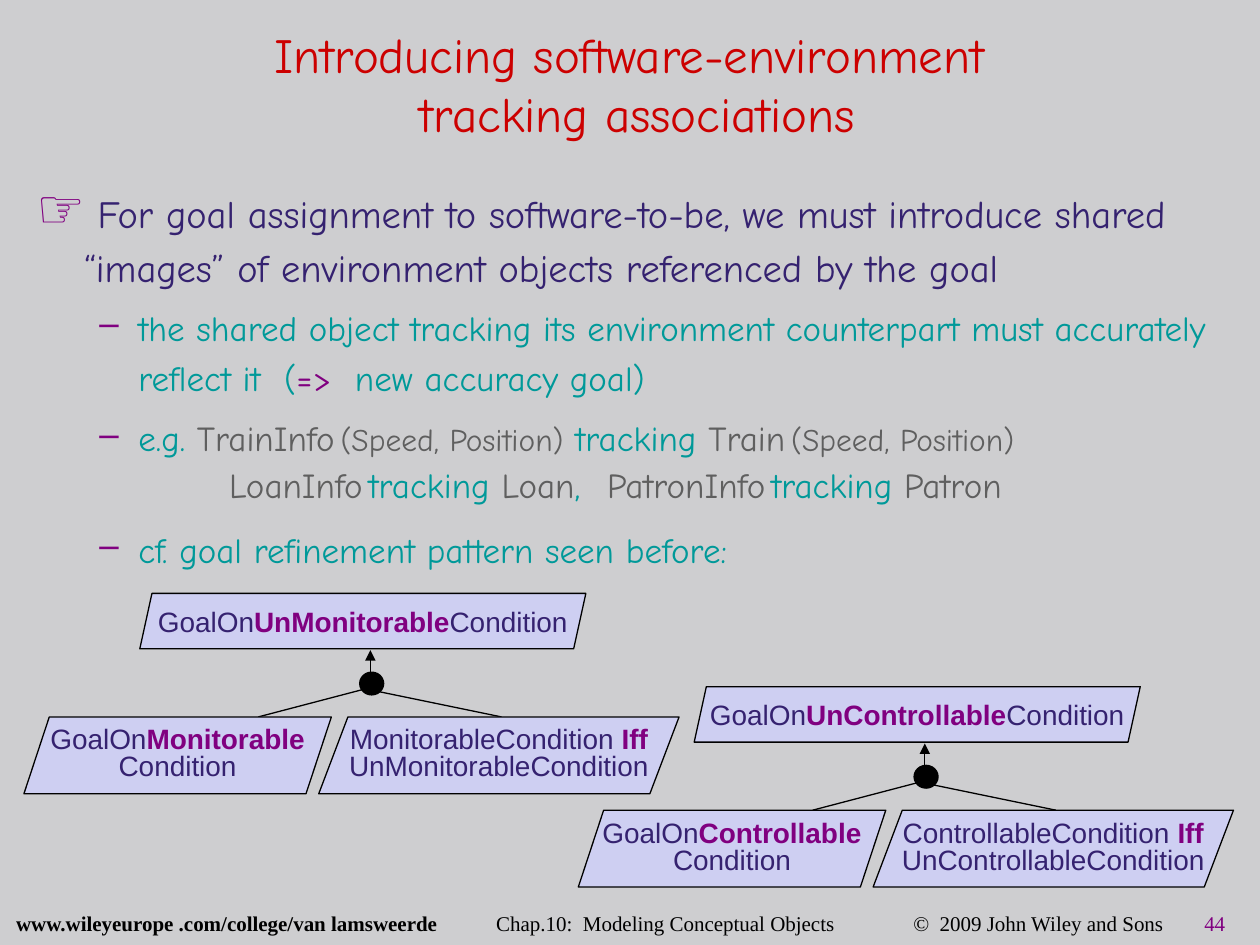
from dataclasses import dataclass

from lxml.etree import SubElement
from pptx import Presentation
from pptx.dml.color import RGBColor
from pptx.enum.shapes import MSO_CONNECTOR as Connector, MSO_SHAPE as Shape
from pptx.enum.text import MSO_ANCHOR as Anchor, PP_ALIGN as Align
from pptx.oxml.ns import qn
from pptx.util import Inches, Pt


@dataclass(frozen=True)
class Theme:
    background: str = "CECED0"
    title: str = "CC0000"
    ink: str = "352270"
    accent: str = "800080"
    teal: str = "009999"
    grey: str = "5F5F5F"
    goal_fill: str = "CECFF2"
    black: str = "000000"
    hand: str = "Comic Neue"
    sans: str = "Arial"
    serif: str = "Times New Roman"
    title_size: int = 28
    symbol_size: int = 31
    lead_size: int = 22
    body_size: int = 20
    detail_size: int = 18
    goal_size: int = 16
    footer_size: int = 12
    gap_size: int = 10


THEME = Theme()
COLUMNS, ROWS = 100, 75
SLIDE_WIDTH, SLIDE_HEIGHT = Inches(10), Inches(7.5)


def column(count):
    return round(SLIDE_WIDTH * count / COLUMNS)


def row(count):
    return round(SLIDE_HEIGHT * count / ROWS)


def grid_box(left, top, width, height):
    return column(left), row(top), column(width), row(height)


def rgb(value):
    return RGBColor.from_string(value)


def add_run(paragraph, text, color, size, font, bold=False):
    run = paragraph.add_run()
    run.text = text
    run.font.name, run.font.size, run.font.bold = font, Pt(size), bold
    run.font.color.rgb = rgb(color)


def add_text_frame(slide, box, anchor=Anchor.TOP):
    frame = slide.shapes.add_textbox(*grid_box(*box)).text_frame
    frame.word_wrap = True
    frame.vertical_anchor = anchor
    return frame


def set_indent(paragraph, left, first=0):
    properties = paragraph._p.get_or_add_pPr()
    properties.set("marL", str(column(left)))
    properties.set("indent", str(column(first)))


def add_dash(paragraph):
    properties = paragraph._p.get_or_add_pPr()
    color = SubElement(properties, qn("a:buClr"))
    SubElement(color, qn("a:srgbClr"), val=THEME.accent)
    SubElement(properties, qn("a:buChar"), char="–")


def add_tabs(paragraph, *stops):
    tabs = SubElement(paragraph._p.get_or_add_pPr(), qn("a:tabLst"))
    for stop in stops:
        SubElement(tabs, qn("a:tab"), pos=str(column(stop)), algn="l")


def add_title(slide):
    frame = add_text_frame(slide, (3.3, 2.5, 94.6, 8.3), Anchor.MIDDLE)
    paragraph = frame.paragraphs[0]
    paragraph.alignment = Align.CENTER
    style = THEME.title, THEME.title_size, THEME.hand
    add_run(paragraph, "Introducing software-environment ", *style)
    paragraph.add_line_break()
    add_run(paragraph, "tracking associations", *style)


def add_body(slide):
    frame = add_text_frame(slide, (1.9, 14.5, 97.4, 29.6), Anchor.MIDDLE)
    teal, grey, accent = THEME.teal, THEME.grey, THEME.accent
    normal, detail, gap = THEME.body_size, THEME.detail_size, THEME.gap_size

    # Lead statement
    lead = frame.paragraphs[0]
    set_indent(lead, 3.8, -3.8)
    lead.line_spacing = 1.1
    add_run(lead, "☞", accent, THEME.symbol_size, THEME.sans, True)
    add_run(lead, " For goal assignment to software-to-be, we must introduce shared "
            "“images” of environment objects referenced by the goal",
            THEME.ink, THEME.lead_size, THEME.hand)

    # Supporting points: dashed, line spacing, space before, runs
    points = [
        (True, 1.2, 4.5, [
            ("the shared object tracking its environment counterpart must "
             "accurately reflect it  (", teal, normal),
            ("=>", accent, normal), ("  new accuracy goal)", teal, normal)]),
        (True, 1.2, 5.5, [
            ("e.g. ", teal, normal), ("TrainInfo", grey, normal),
            (" ", grey, gap), ("(Speed, Position)", grey, detail),
            (" tracking ", teal, normal), ("Train", grey, normal),
            (" ", grey, gap), ("(Speed, Position)", grey, detail)]),
        (False, 0.9, 5.5, [
            ("LoanInfo", grey, normal), (" ", grey, gap),
            ("tracking ", teal, normal), ("Loan", grey, normal),
            (",\t", teal, normal), ("PatronInfo", grey, normal),
            (" ", grey, gap), ("tracking ", teal, normal),
            ("Patron", grey, normal)]),
        (True, 1.3, 5.5, [
            ("cf. goal refinement pattern seen before:", teal, normal)]),
    ]
    for dashed, spacing, before, runs in points:
        paragraph = frame.add_paragraph()
        if dashed:
            set_indent(paragraph, 8.1, -3.1)
            add_dash(paragraph)
        else:
            set_indent(paragraph, 15.3)
            add_tabs(paragraph, 45.9)
        paragraph.line_spacing = spacing
        paragraph.space_before = Pt(before)
        for text, color, size in runs:
            add_run(paragraph, text, color, size, THEME.hand)


def add_filled(slide, preset, box, fill, line_width):
    shape = slide.shapes.add_shape(preset, *grid_box(*box))
    shape.shadow.inherit = False
    shape.fill.solid()
    shape.fill.fore_color.rgb = rgb(fill)
    shape.line.color.rgb = rgb(THEME.black)
    shape.line.width = Pt(line_width)
    return shape


def add_goal(slide, box, slant, lines):
    """Each line is a list of texts; every second text is emphasised."""
    shape = add_filled(slide, Shape.PARALLELOGRAM, box, THEME.goal_fill, 0.75)
    shape.adjustments[0] = slant
    frame = shape.text_frame
    frame.word_wrap = False
    frame.vertical_anchor = Anchor.MIDDLE
    frame.margin_left = frame.margin_right = 0
    frame.margin_top = frame.margin_bottom = 0
    for number, texts in enumerate(lines):
        paragraph = frame.add_paragraph() if number else frame.paragraphs[0]
        paragraph.alignment = Align.CENTER
        paragraph.line_spacing = 0.8 if len(lines) > 1 else 1.0
        for position, text in enumerate(texts):
            strong = position % 2 == 1
            add_run(paragraph, text, THEME.accent if strong else THEME.ink,
                    THEME.goal_size, THEME.sans, strong)


def add_link(slide, start, end, arrow=False):
    link = slide.shapes.add_connector(
        Connector.STRAIGHT, column(start[0]), row(start[1]), column(end[0]), row(end[1]))
    link.line.color.rgb = rgb(THEME.black)
    link.line.width = Pt(0.75)
    if arrow:
        SubElement(link.line._get_or_add_ln(), qn("a:tailEnd"), type="triangle")
    SubElement(link._element.spPr, qn("a:effectLst"))


def add_refinement(slide, left, top, kind):
    """Goal pattern: a parent goal refined into two subgoals."""
    def at(x, y):
        return left + x, top + y

    # Parent goal and refinement links
    add_goal(slide, (*at(9.2, 0), 35.4, 4.4), 0.22,
             [["GoalOn", f"Un{kind}", "Condition"]])
    add_link(slide, at(27.5, 6.5), at(27.5, 4.5), arrow=True)
    add_link(slide, at(27, 7.6), at(18.6, 9.8))
    add_filled(slide, Shape.OVAL, (*at(26.7, 6.3), 1.8, 1.7), THEME.black, 1.5)
    add_link(slide, at(28.2, 7.8), at(37.9, 9.8))

    # Subgoals
    add_goal(slide, (*at(0, 9.8), 24.4, 6.1), 0.33,
             [["GoalOn", kind], ["Condition"]])
    add_goal(slide, (*at(23.4, 9.8), 28.6, 6.1), 0.38,
             [[f"{kind}Condition ", "Iff"], [f"Un{kind}Condition"]])


def add_footer(slide):
    paragraph = add_text_frame(slide, (0.3, 72.3, 99.7, 2.4)).paragraphs[0]
    paragraph.line_spacing = 0.7
    add_tabs(paragraph, 38.1, 71.2, 94.3)
    style = THEME.footer_size, THEME.serif
    add_run(paragraph, "www.wileyeurope .com/college/van lamsweerde",
            THEME.black, *style, True)
    add_run(paragraph, "\tChap.10:  Modeling Conceptual Objects"
            "\t©  2009 John Wiley and Sons\t", THEME.black, *style)
    add_run(paragraph, "44", THEME.accent, *style)


def main():
    presentation = Presentation()
    presentation.slide_width, presentation.slide_height = SLIDE_WIDTH, SLIDE_HEIGHT
    slide = presentation.slides.add_slide(presentation.slide_layouts[6])
    slide.background.fill.solid()
    slide.background.fill.fore_color.rgb = rgb(THEME.background)
    add_footer(slide)
    add_title(slide)
    add_body(slide)
    add_refinement(slide, 1.9, 47.1, "Monitorable")
    add_refinement(slide, 45.9, 54.5, "Controllable")
    presentation.save("out.pptx")


if __name__ == "__main__":
    main()
